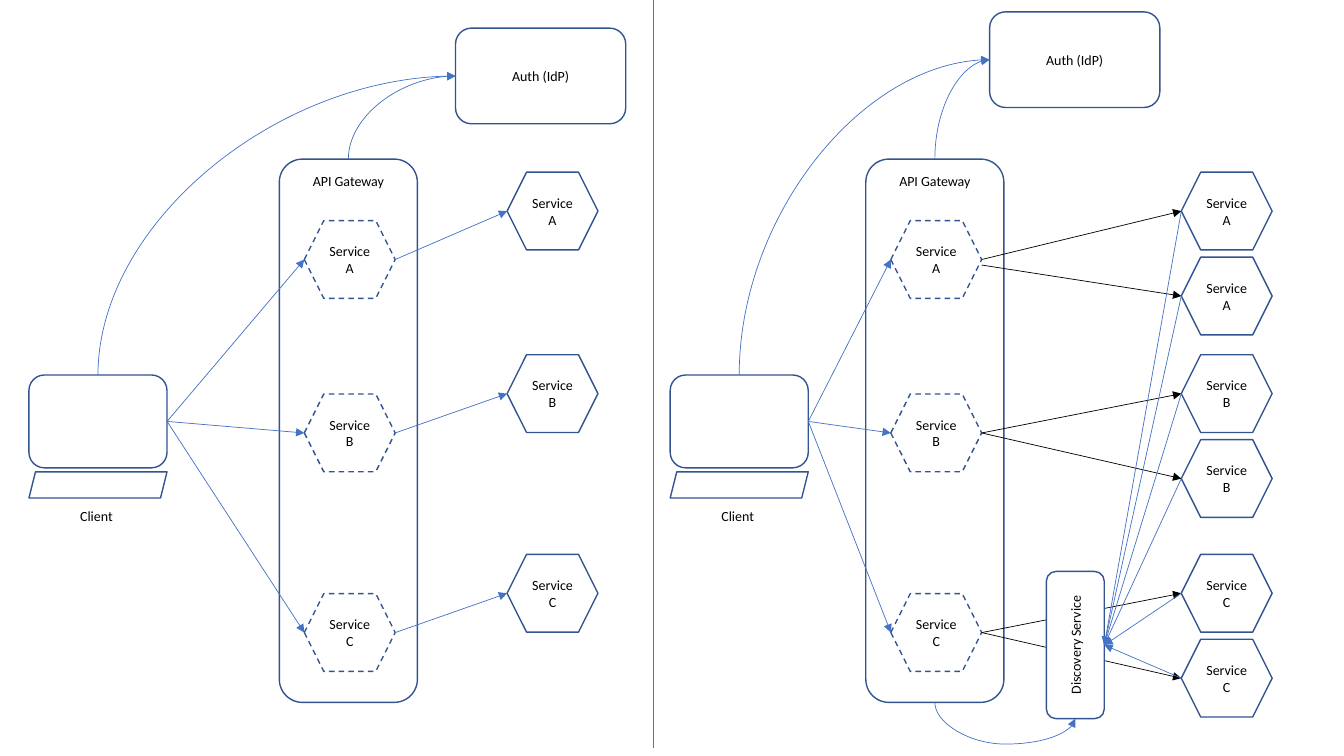
from lxml import etree
from pptx import Presentation
from pptx.dml.color import RGBColor
from pptx.enum import dml, shapes, text
from pptx.oxml.ns import qn
from pptx.util import Cm, Pt

NAVY = RGBColor(0x32, 0x54, 0x91)
BLUE = RGBColor(0x44, 0x72, 0xC4)
BLACK = RGBColor(0, 0, 0)
WHITE = RGBColor(255, 255, 255)
FONT = "Calibri"
TOP, LEFT, BOTTOM, RIGHT = range(4)

# Lengths in cm
SIZE = (33.87, 19.05)
DIVIDER = (16.46, 18.85)
SERVICES = ("Service A", "Service B", "Service C")
ROUTE_Y = (5.56, 9.93, 14.96)
NODE_Y = (4.34, 8.94, 13.97)
STEP = 2.14
HEX = (2.29, 1.96)
WIDE = 3.48
PANELS = (
    {"client": 0.73, "gate": 7.04, "nodes": 12.78, "auth": (11.48, 0.71),
     "copies": 1, "finder": None},
    {"client": 16.89, "gate": 21.82, "nodes": 29.77, "auth": (24.94, 0.3),
     "copies": 2, "finder": (26.37, 14.4, 1.46, 3.71)},
)
FINDER = "Discovery Service"
DIP = 18.75
FORK = 0.14

deck = Presentation()
deck.slide_width, deck.slide_height = map(Cm, SIZE)
slide = deck.slides.add_slide(deck.slide_layouts[6])
KIND = shapes.MSO_SHAPE
LINK = shapes.MSO_CONNECTOR


def write(item, words, size=10, color=BLACK, align=text.PP_ALIGN.CENTER,
          anchor=text.MSO_ANCHOR.MIDDLE, wrap=True, grow=False, turn=None):
    frame = item.text_frame
    frame.word_wrap = wrap
    frame.vertical_anchor = anchor
    if grow:
        frame.auto_size = text.MSO_AUTO_SIZE.SHAPE_TO_FIT_TEXT
    if turn:
        item.element.txBody.find(qn("a:bodyPr")).set("vert", turn)
    para = frame.paragraphs[0]
    para.alignment = align
    run = para.add_run()
    run.text = words
    run.font.name, run.font.size = FONT, Pt(size)
    run.font.color.rgb = color


def box(kind, x, y, w, h, words=None, dash=False, **form):
    item = slide.shapes.add_shape(kind, Cm(x), Cm(y), Cm(w), Cm(h))
    item.shadow.inherit = False
    item.fill.solid()
    item.fill.fore_color.rgb = WHITE
    item.line.color.rgb = NAVY
    item.line.width = Pt(1)
    if dash:
        item.line.dash_style = dml.MSO_LINE.DASH
    if words:
        write(item, words, **form)
    return item


def label(x, y, w, words, **form):
    item = slide.shapes.add_textbox(Cm(x), Cm(y), Cm(w), Cm(0.68))
    write(item, words, anchor=text.MSO_ANCHOR.TOP, grow=True, **form)


def mid(item, side):
    """Middle of one side of a shape."""
    dx, dy = ((1, 0), (0, 1), (1, 2), (2, 1))[side]
    return item.left + item.width * dx // 2, item.top + item.height * dy // 2


def line(start, end, color=BLUE, kind=LINK.STRAIGHT, arrow=True):
    item = slide.shapes.add_connector(kind, *start, *end)
    item.line.color.rgb = color
    item.line.width = Pt(0.5)
    if arrow:
        etree.SubElement(item.line._get_or_add_ln(), qn("a:tailEnd"),
                         type="triangle")
    etree.SubElement(item.element.spPr, qn("a:effectLst"))
    return item


def curve(start, end, turn, flips, bend=None):
    """Curve that leaves its start vertically: a quarter arc, or a dip to bend."""
    item = line(start, end, kind=LINK.CURVE)
    (x1, y1), (x2, y2) = start, end
    wide, high = abs(y2 - y1), abs(x2 - x1)
    item.left, item.top = (x1 + x2 - wide) // 2, (y1 + y2 - high) // 2
    item.width, item.height = wide, high
    form = item.element.spPr.find(qn("a:xfrm"))
    for name in ("flipH", "flipV"):
        form.set(name, "1" if name in flips else "0")
    form.set("rot", str(turn * 60000))
    shape = item.element.spPr.find(qn("a:prstGeom"))
    if bend is None:
        shape.set("prst", "curvedConnector2")
    else:
        ratio = round((bend - y1) / (y2 - y1) * 100000)
        etree.SubElement(shape.find(qn("a:avLst")), qn("a:gd"),
                         name="adj1", fmla=f"val {ratio}")


def panel(client, gate, nodes, auth, copies, finder):
    door = box(KIND.ROUNDED_RECTANGLE, gate, 4.01, WIDE, 13.69)
    label(gate, 4.22, WIDE, "API Gateway")
    screen = box(KIND.ROUNDED_RECTANGLE, client, 9.45, WIDE, 2.34)
    box(KIND.PARALLELOGRAM, client, 11.89, WIDE, 0.66)
    label(client + 1.04, 12.67, 1.35, "Client", wrap=False,
          align=text.PP_ALIGN.LEFT)
    login = box(KIND.ROUNDED_RECTANGLE, *auth, 4.29, 2.41, "Auth (IdP)")
    for origin in (door, screen):
        curve(mid(origin, TOP), mid(login, LEFT), 90, ("flipH", "flipV"))

    ends = []
    for name, y, top in zip(SERVICES, ROUTE_Y, NODE_Y):
        route = box(KIND.HEXAGON, gate + 0.63, y, *HEX, name, dash=True)
        call = line(mid(screen, RIGHT), mid(route, LEFT))
        call.begin_connect(screen, RIGHT)
        for i in range(copies):
            node = box(KIND.HEXAGON, nodes, top + i * STEP, *HEX, name)
            x, level = mid(route, RIGHT)
            if name == SERVICES[0]:
                level += Cm(FORK * i)
            line((x, level), mid(node, LEFT), BLACK if finder else BLUE)
            ends.append(mid(node, LEFT))

    if finder:
        index = box(KIND.ROUNDED_RECTANGLE, *finder, FINDER, turn="vert270")
        for end in ends:
            line(end, mid(index, RIGHT)).end_connect(index, RIGHT)
        curve(mid(door, BOTTOM), mid(index, BOTTOM), 270, ("flipH",), Cm(DIP))


for part in PANELS:
    panel(**part)
x, foot = map(Cm, DIVIDER)
line((x, 0), (x, foot), arrow=False)
deck.save("out.pptx")
